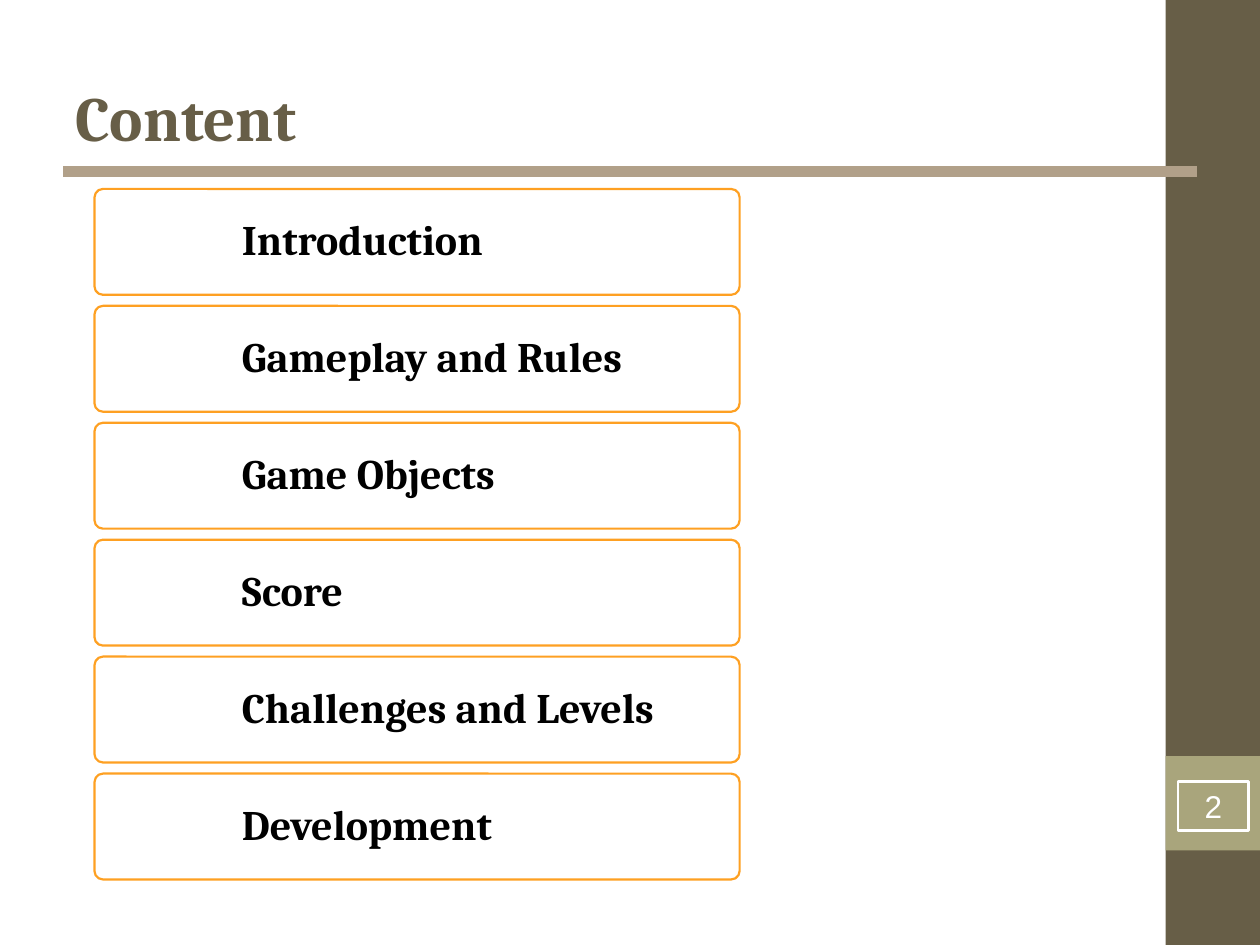
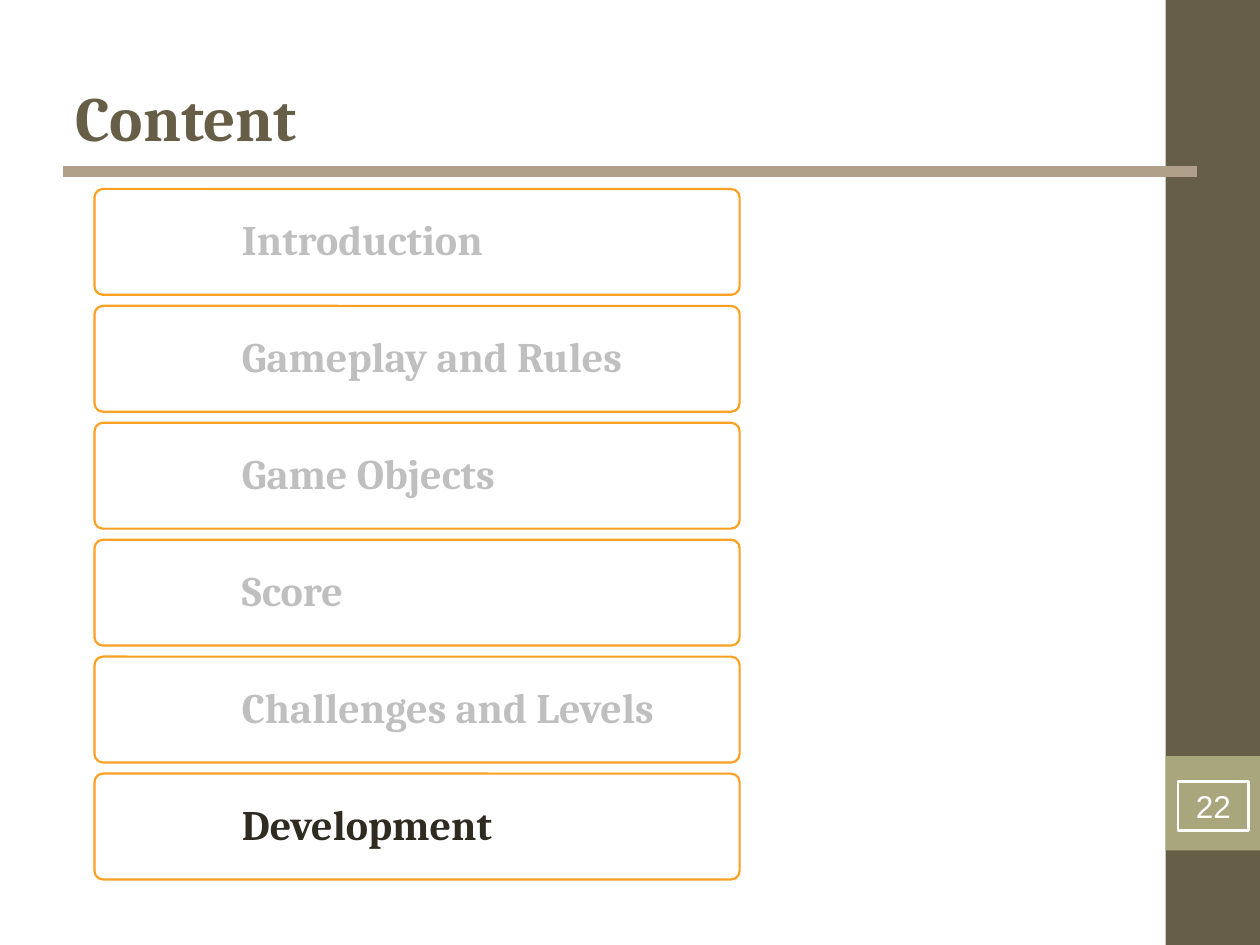
from lxml import etree
from pptx import Presentation
from pptx.dml.color import RGBColor
from pptx.enum.shapes import MSO_CONNECTOR, MSO_SHAPE
from pptx.enum.text import MSO_ANCHOR, PP_ALIGN
from pptx.oxml.ns import qn
from pptx.util import Inches, Pt

COLORS = {
    "olive": "675E47", "sage": "A9A57C", "taupe": "B1A089",
    "orange": "FEA022", "white": "FFFFFF", "black": "000000",
    "muted": "BFBFBF", "dark": "2F2B20",
}
TOPICS = ["Introduction", "Gameplay and Rules", "Game Objects", "Score",
          "Challenges and Levels", "Development"]
# Page number, colour of each topic
SLIDES = [
    ("2", ["black"] * 6),
    ("22", ["muted"] * 5 + ["dark"]),
]
FIRST_TOP, LAST_TOP = 1.5, 6.14
STEP = (LAST_TOP - FIRST_TOP) / (len(TOPICS) - 1)


def add_box(s, kind, box, fill=None, line=None, width=1):
    sp = s.shapes.add_shape(kind, *map(Inches, box))
    sp.shadow.inherit = False
    if fill:
        sp.fill.solid()
        sp.fill.fore_color.rgb = RGBColor.from_string(COLORS[fill])
    else:
        sp.fill.background()
    if line:
        sp.line.color.rgb = RGBColor.from_string(COLORS[line])
        sp.line.width = Pt(width)
    else:
        sp.line.fill.background()
    return sp


def set_text(sp, text, font, size, color, bold, align, insets):
    """Write one vertically centred paragraph; insets run left, top, right, bottom."""
    tf = sp.text_frame
    tf.text = text
    tf.word_wrap = True
    tf.vertical_anchor = MSO_ANCHOR.MIDDLE
    (tf.margin_left, tf.margin_top,
     tf.margin_right, tf.margin_bottom) = map(Inches, insets)
    p = tf.paragraphs[0]
    p.alignment = align
    f = p.runs[0].font
    f.name, f.size, f.bold = font, Pt(size), bold
    f.color.rgb = RGBColor.from_string(COLORS[color])
    return p


prs = Presentation()
prs.slide_width, prs.slide_height = Inches(10), Inches(7.5)

for number, topic_colors in SLIDES:
    s = prs.slides.add_slide(prs.slide_layouts[5])

    # Side band, rule and title
    add_box(s, MSO_SHAPE.RECTANGLE, (9.25, 0, 0.75, 7.5), "olive")
    add_box(s, MSO_SHAPE.RECTANGLE, (9.25, 6, 0.75, 0.75), "sage")
    rule = s.shapes.add_connector(MSO_CONNECTOR.STRAIGHT, Inches(0.5), Inches(1.36),
                                  Inches(9.5), Inches(1.36))
    rule.line.color.rgb = RGBColor.from_string(COLORS["taupe"])
    rule.line.width = Pt(6)
    etree.SubElement(rule._element.spPr, qn("a:effectLst"))

    title = s.shapes.title
    title.left, title.top = Inches(0.5), Inches(0.3)
    title.width, title.height = Inches(8.33), Inches(1.25)
    set_text(title, "Content", "Cambria", 36, "olive", True, PP_ALIGN.LEFT,
             (0.1, 0.05, 0.1, 0.05))

    # Topic list
    for i, (topic, color) in enumerate(zip(TOPICS, topic_colors)):
        sp = add_box(s, MSO_SHAPE.ROUNDED_RECTANGLE,
                     (0.75, FIRST_TOP + i * STEP, 5.12, 0.84), "white", "orange", 1.25)
        sp.adjustments[0] = 0.08
        p = set_text(sp, topic, "Cambria", 24, color, True, PP_ALIGN.LEFT,
                     (1.15, 0.03, 0.03, 0.03))
        p.line_spacing = 0.9
        p.space_after = Pt(10.5)

    # Page number
    sp = add_box(s, MSO_SHAPE.RECTANGLE, (9.35, 6.2, 0.56, 0.39), line="white", width=1.5)
    set_text(sp, number, "Arial", 18, "white", False, PP_ALIGN.CENTER, (0, 0, 0, 0))

prs.save("out.pptx")
